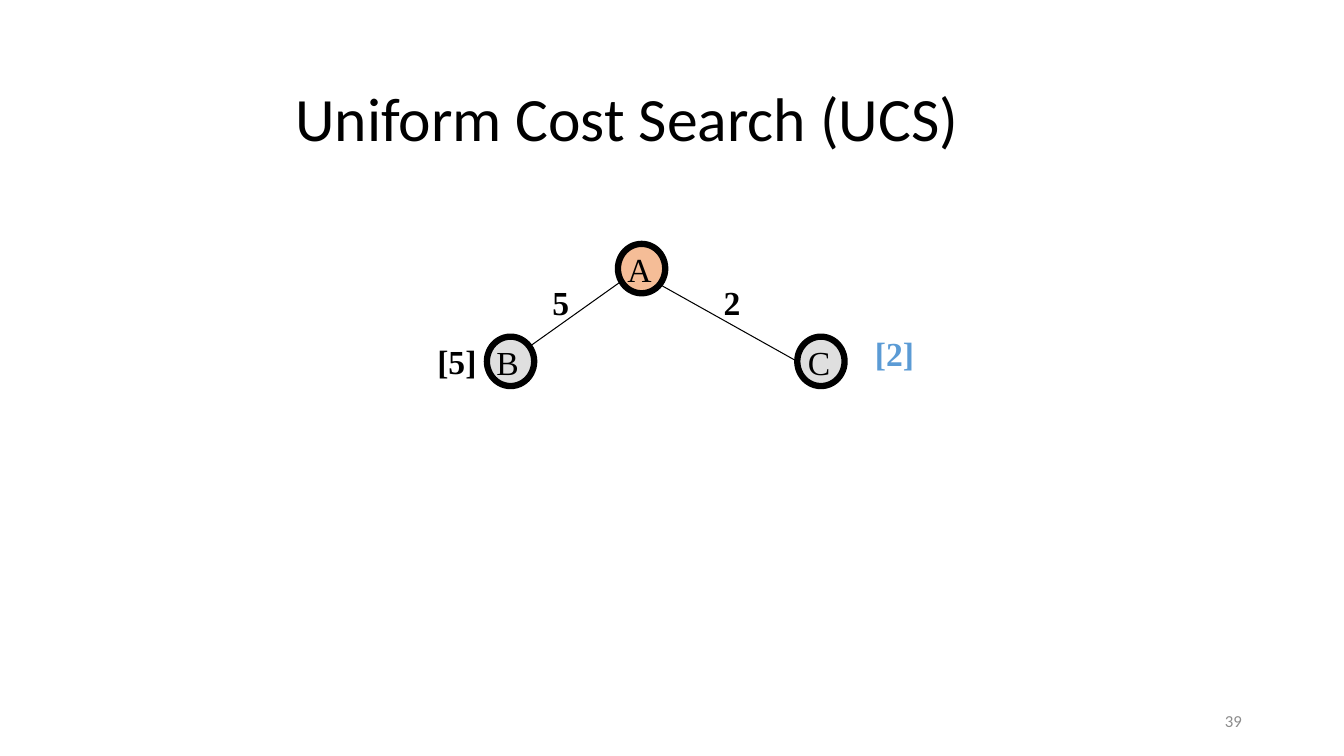
import pptx
import pptx.util
import pptx.dml.color
import pptx.enum.shapes
import pptx.enum.text
import pptx.oxml
import pptx.oxml.ns

Pt = pptx.util.Pt
ALIGN = pptx.enum.text.PP_ALIGN
ANCHOR = pptx.enum.text.MSO_ANCHOR

# Content: lengths in points
BLACK, GREY, ORANGE, BLUE = "000000", "C0C0C0", "ED7D31", "5B9BD5"
TITLE = ("Uniform Cost Search (UCS)", (203.8, 41.8, 612, 90))
PAGE = ("39", (678.2, 500.4, 216, 28.8))
NODE_W, NODE_H = 33.8, 35.3
NODES = [  # name, left, top, fill, label left, label width
    ("A", 441.4, 174.2, ORANGE, 440.6, 32.4),
    ("B", 347.8, 240.5, GREY, 347, 31),
    ("C", 569.5, 240.5, GREY, 569.5, 31),
]
EDGES = [(442.8, 201.6, 378, 247.7), (470.9, 203, 568.8, 257.8)]
COSTS = [  # text, left, top, width, colour
    ("2", 509.8, 198, 26.6, BLACK),
    ("5", 387.4, 198, 26.6, BLACK),
    ("[5]", 305.3, 239.8, 42.5, BLACK),
    ("[2]", 617.8, 234, 42.5, BLUE),
]
LABEL_H = 36


def rgb(value):
    return pptx.dml.color.RGBColor.from_string(value)


def add_text(s, text, box, color=BLACK, align=ALIGN.LEFT, wrap=False,
             anchor=ANCHOR.TOP, spacing=1.0, **font):
    tf = s.shapes.add_textbox(*map(Pt, box)).text_frame
    tf.word_wrap, tf.vertical_anchor = wrap, anchor
    p = tf.paragraphs[0]
    p.alignment, p.line_spacing = align, spacing
    r = p.add_run()
    r.text = text
    style = {"name": "Times New Roman", "size": Pt(24), **font}
    for key, value in style.items():
        setattr(r.font, key, value)
    r.font.color.rgb = rgb(color)


def add_node(s, name, left, top, fill, label_left, label_w):
    sp = s.shapes.add_shape(pptx.enum.shapes.MSO_SHAPE.OVAL,
                            Pt(left), Pt(top), Pt(NODE_W), Pt(NODE_H))
    sp.shadow.inherit = False
    sp.fill.solid()
    sp.fill.fore_color.rgb = rgb(fill)
    # Half-transparent fill
    clr = sp.fill._xPr.find(".//" + pptx.oxml.ns.qn("a:srgbClr"))
    alpha = pptx.oxml.parse_xml(
        "<a:alpha %s val='50000'/>" % pptx.oxml.ns.nsdecls("a"))
    clr.append(alpha)
    sp.line.color.rgb = rgb(BLACK)
    sp.line.width = Pt(4.5)
    add_text(s, name, (label_left, top, label_w, LABEL_H), align=ALIGN.CENTER)


def add_edge(s, ends):
    line = s.shapes.add_connector(
        pptx.enum.shapes.MSO_CONNECTOR.STRAIGHT, *map(Pt, ends))
    line.line.color.rgb = rgb(BLACK)
    line.line.width = Pt(0.75)
    line._element.spPr.append(pptx.oxml.parse_xml(
        "<a:effectLst %s/>" % pptx.oxml.ns.nsdecls("a")))


def main():
    prs = pptx.Presentation()
    prs.slide_width, prs.slide_height = Pt(960), Pt(540)
    s = prs.slides.add_slide(prs.slide_layouts[6])

    # Page number and title
    frame = {"wrap": True, "anchor": ANCHOR.MIDDLE, "name": "Calibri"}
    add_text(s, *PAGE, color="8C8C8C", align=ALIGN.RIGHT, size=Pt(12), **frame)
    add_text(s, *TITLE, spacing=0.9, size=Pt(44), **frame)

    # Search tree
    for node in NODES:
        add_node(s, *node)
    for ends in EDGES:
        add_edge(s, ends)
    for text, left, top, width, color in COSTS:
        add_text(s, text, (left, top, width, LABEL_H), color, bold=True)

    prs.save("out.pptx")


if __name__ == "__main__":
    main()
